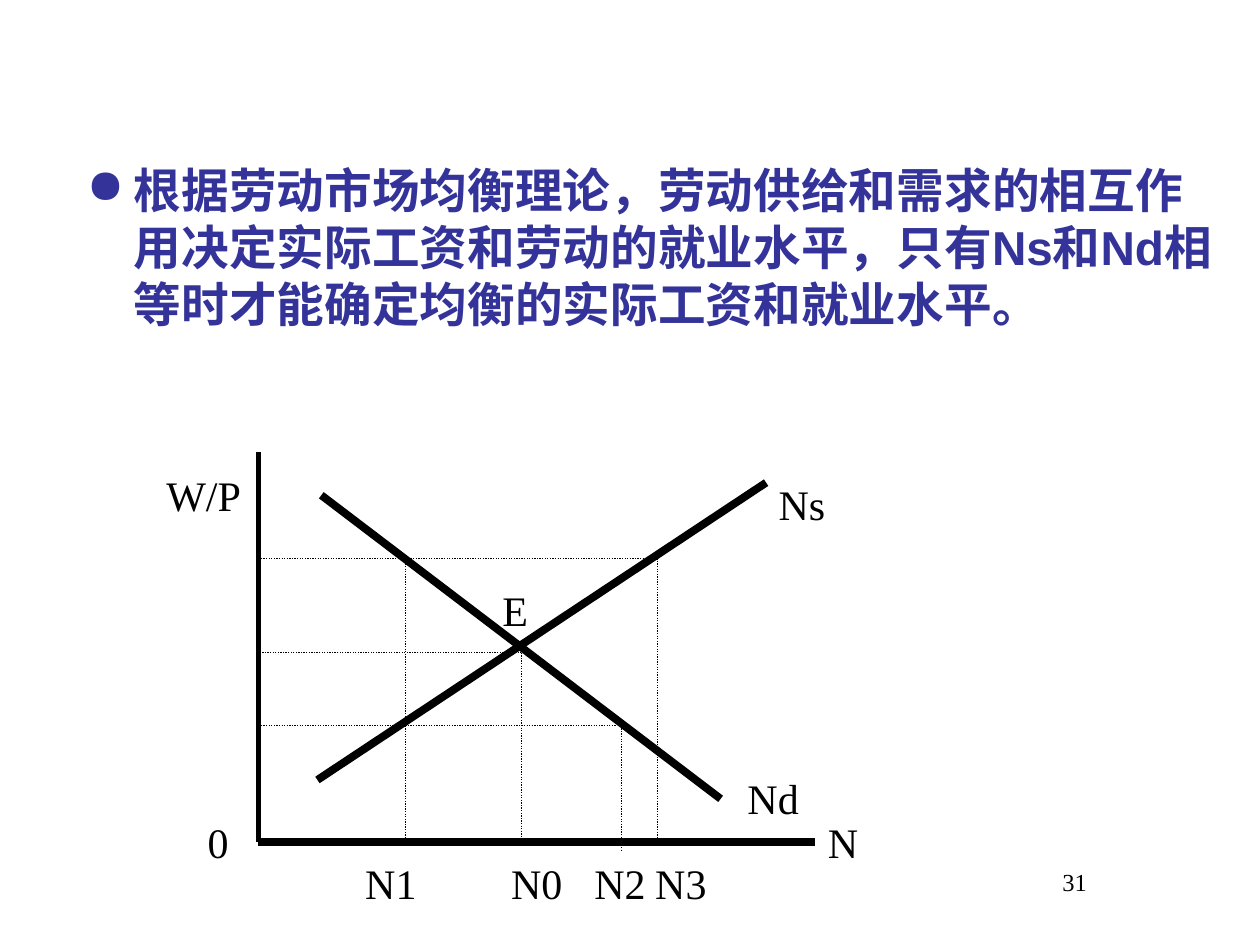
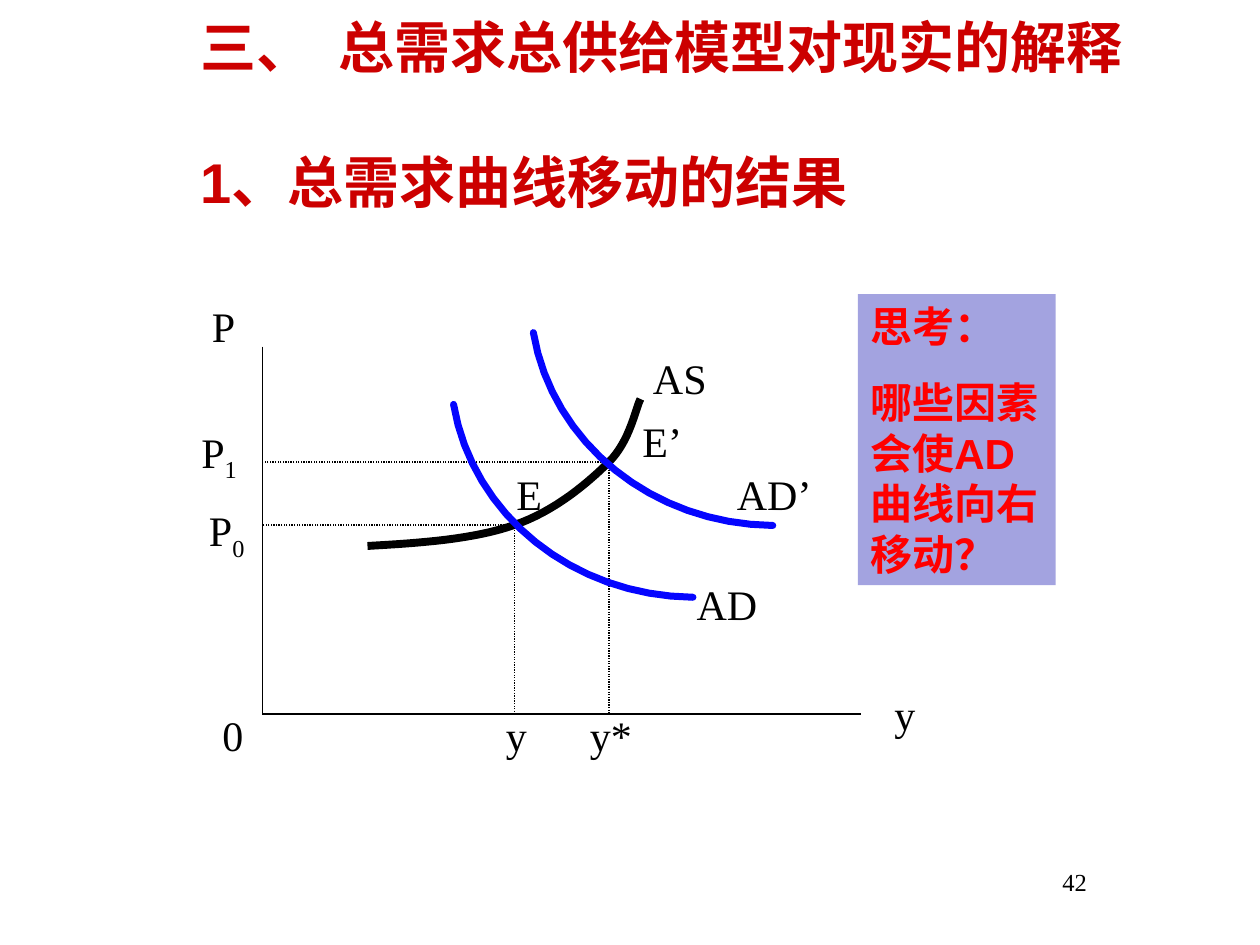
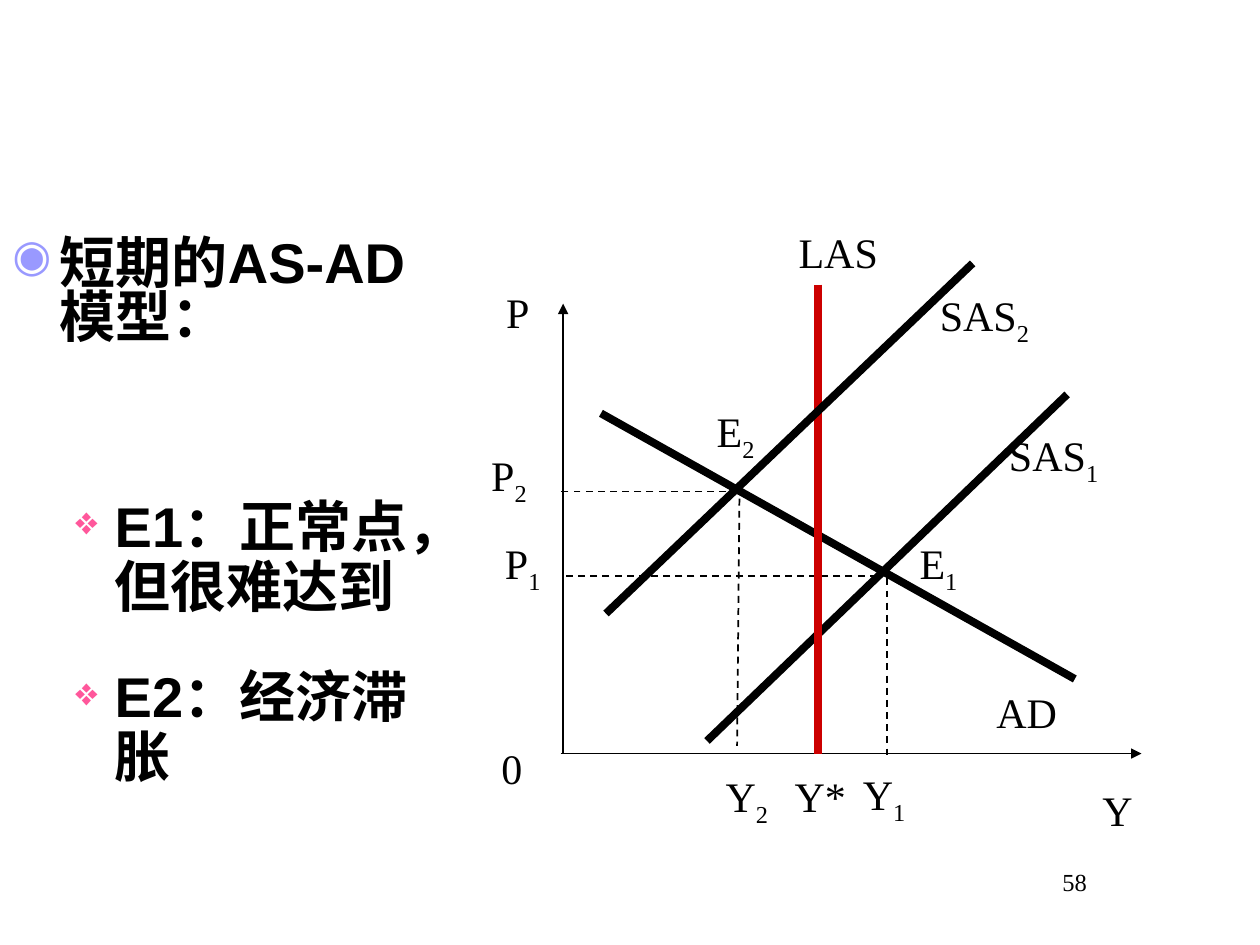
from typing import NamedTuple, Optional

from lxml.etree import SubElement
from pptx import Presentation
from pptx.dml.color import RGBColor
from pptx.enum.dml import MSO_LINE
from pptx.enum.shapes import MSO_CONNECTOR, MSO_SHAPE
from pptx.enum.text import MSO_ANCHOR, MSO_AUTO_SIZE, PP_ALIGN
from pptx.oxml.ns import qn
from pptx.util import Pt

BLACK = RGBColor(0x00, 0x00, 0x00)
INDIGO = RGBColor(0x33, 0x33, 0x99)
CRIMSON = RGBColor(0xCC, 0x00, 0x00)
RED = RGBColor(0xFF, 0x00, 0x00)
BLUE = RGBColor(0x05, 0x05, 0xFF)
LAVENDER = RGBColor(0xA3, 0xA3, 0xE0)
PERIWINKLE = RGBColor(0x99, 0x99, 0xFF)
PINK = RGBColor(0xFF, 0x57, 0x9B)

HEADING_FONT = "Arial"
LABEL_FONT = "Times New Roman"
THICK = 4.5
CURVE_STEPS = 16

Point = tuple[float, float]


class TextStyle(NamedTuple):
    font: str
    size: float
    color: RGBColor
    bold: bool = False


class Bullet(NamedTuple):
    character: str
    color: RGBColor
    left: float
    hanging: float
    percent: int = 100


class TextLine(NamedTuple):
    text: str
    subscript: str = ""
    space_before: float = 0
    line_spacing: Optional[float] = None
    bullet: Optional[Bullet] = None
    tabs: tuple[float, ...] = ()


class Label(NamedTuple):
    left: float
    top: float
    width: float
    text: str
    subscript: str = ""
    tabs: tuple[float, ...] = ()


class Line(NamedTuple):
    start: Point
    end: Point
    width: float = THICK
    color: RGBColor = BLACK
    dash: Optional[MSO_LINE] = None
    arrow: bool = False


LABEL_STYLE = TextStyle(LABEL_FONT, 24, BLACK)
NUMBER_STYLE = TextStyle(LABEL_FONT, 14, BLACK)
TITLE_STYLE = TextStyle(HEADING_FONT, 32, CRIMSON, True)
THEORY_STYLE = TextStyle(HEADING_FONT, 27.2, INDIGO, True)
OUTLINE_STYLE = TextStyle(HEADING_FONT, 32, BLACK, True)
QUESTION_STYLE = TextStyle(HEADING_FONT, 24, RED, True)


def write_text(shape, lines: list[TextLine], style: TextStyle,
               anchor=MSO_ANCHOR.TOP, grow: bool = False) -> None:
    frame = shape.text_frame
    frame.word_wrap = True
    frame.vertical_anchor = anchor
    frame.auto_size = MSO_AUTO_SIZE.SHAPE_TO_FIT_TEXT if grow else MSO_AUTO_SIZE.NONE
    for index, line in enumerate(lines):
        paragraph = frame.add_paragraph() if index else frame.paragraphs[0]
        paragraph.alignment = PP_ALIGN.LEFT
        paragraph.add_run().text = line.text
        if line.subscript:
            run = paragraph.add_run()
            run.text = line.subscript
            run.font._element.set("baseline", "-25000")
        if line.line_spacing:
            paragraph.line_spacing = line.line_spacing
        if line.space_before:
            paragraph.space_before = Pt(line.space_before)
        properties = paragraph._p.get_or_add_pPr()
        if line.bullet:
            add_bullet(properties, line.bullet)
        if line.tabs:
            tab_list = SubElement(properties, qn("a:tabLst"))
            for position in line.tabs:
                SubElement(tab_list, qn("a:tab"), pos=str(Pt(position)), algn="l")
        paragraph.font.name = style.font
        paragraph.font.size = Pt(style.size)
        paragraph.font.bold = style.bold
        paragraph.font.color.rgb = style.color


def add_bullet(properties, bullet: Bullet) -> None:
    properties.set("marL", str(Pt(bullet.left)))
    properties.set("indent", str(Pt(-bullet.hanging)))
    color = SubElement(properties, qn("a:buClr"))
    SubElement(color, qn("a:srgbClr"), val=str(bullet.color))
    SubElement(properties, qn("a:buSzPct"), val=str(bullet.percent * 1000))
    SubElement(properties, qn("a:buChar"), char=bullet.character)


def add_text(slide, left: float, top: float, width: float, height: float,
             lines: list[TextLine], style: TextStyle,
             anchor=MSO_ANCHOR.TOP, grow: bool = False) -> None:
    box = slide.shapes.add_textbox(Pt(left), Pt(top), Pt(width), Pt(height))
    write_text(box, lines, style, anchor, grow)


def add_labels(slide, labels: list[Label]) -> None:
    for label in labels:
        line = TextLine(label.text, label.subscript, tabs=label.tabs)
        height = 40 if label.subscript else 36
        add_text(slide, label.left, label.top, label.width, height,
                 [line], LABEL_STYLE, grow=True)


def add_lines(slide, lines: list[Line]) -> None:
    for line in lines:
        connector = slide.shapes.add_connector(
            MSO_CONNECTOR.STRAIGHT, *map(Pt, line.start + line.end))
        connector.line.width = Pt(line.width)
        connector.line.color.rgb = line.color
        if line.dash:
            connector.line.dash_style = line.dash
        properties = connector.element.spPr
        if line.arrow:
            SubElement(properties.find(qn("a:ln")), qn("a:tailEnd"), type="triangle")
        SubElement(properties, qn("a:effectLst"))


def bezier_point(controls: list[Point], t: float) -> Point:
    weights = ((1 - t) ** 3, 3 * t * (1 - t) ** 2, 3 * t ** 2 * (1 - t), t ** 3)
    x, y = (sum(w * value for w, value in zip(weights, axis)) for axis in zip(*controls))
    return x, y


def add_curve(slide, controls: list[Point], color: RGBColor, width: float,
              cap: str = "flat") -> None:
    points = [
        bezier_point(controls[first:first + 4], step / CURVE_STEPS)
        for first in range(0, len(controls) - 1, 3)
        for step in range(1, CURVE_STEPS + 1)
    ]
    builder = slide.shapes.build_freeform(*map(Pt, controls[0]))
    builder.add_line_segments([(Pt(x), Pt(y)) for x, y in points], close=False)
    curve = builder.convert_to_shape()
    curve.shadow.inherit = False
    curve.fill.background()
    curve.line.color.rgb = color
    curve.line.width = Pt(width)
    curve.element.spPr.find(qn("a:ln")).set("cap", cap)


def add_numbered_slide(presentation, number: int):
    slide = presentation.slides.add_slide(presentation.slide_layouts[6])
    add_text(slide, 600, 492, 120, 36, [TextLine(str(number))], NUMBER_STYLE)
    return slide


def dotted(start: Point, end: Point) -> Line:
    return Line(start, end, 0.75, dash=MSO_LINE.ROUND_DOT)


def dashed(start: Point, end: Point) -> Line:
    return Line(start, end, 1, dash=MSO_LINE.DASH)


def build_labour_market(presentation) -> None:
    slide = add_numbered_slide(presentation, 31)
    theory = TextLine(
        "根据劳动市场均衡理论，劳动供给和需求的相互作用决定实际工资和劳动的就业水平，"
        "只有Ns和Nd相等时才能确定均衡的实际工资和就业水平。",
        bullet=Bullet("●", INDIGO, 27, 27))
    add_text(slide, 42.5, 88.5, 659.5, 151, [theory], THEORY_STYLE)

    left, bottom = 147.6, 481
    high_wage, balanced_wage, low_wage = 319, 373, 414.7
    n1, n0, n2, n3 = 231.8, 298, 355, 375.8
    add_lines(slide, [
        Line((left, 258.5), (left, bottom), 3),
        Line((left, bottom), (466, bottom)),
        Line((183.6, 283), (411.8, 456.5)),
        Line((181.4, 445.7), (437.8, 275.8)),
        dotted((n0, balanced_wage), (n0, bottom)),
        dotted((n0, balanced_wage), (left, balanced_wage)),
        dotted((left, high_wage), (n3, high_wage)),
        dotted((n1, high_wage), (n1, bottom)),
        dotted((n3, high_wage), (n3, bottom)),
        dotted((left, low_wage), (352, low_wage)),
        dotted((n2, low_wage), (n2, 486.7)),
    ])
    add_labels(slide, [
        Label(280, 330.5, 42, "E"),
        Label(111.6, 463, 42, "0"),
        Label(466, 463, 48, "N"),
        Label(88, 265, 72, "W/P"),
        Label(201.6, 486.7, 228, "N1\tN0\tN2\tN3", tabs=(83.4, 130.9, 165.7)),
        Label(420, 437.8, 60, "Nd"),
        Label(437.8, 270, 42, "Ns"),
    ])


def build_demand_shift(presentation) -> None:
    slide = add_numbered_slide(presentation, 42)
    add_text(slide, 107.3, 20, 581.8, 90, [
        TextLine("三、\t总需求总供给模型对现实的解释", tabs=(79,)),
        TextLine("1、总需求曲线移动的结果", space_before=38.6),
    ], TITLE_STYLE, MSO_ANCHOR.MIDDLE)

    left, bottom = 150, 408
    first_balance, second_balance = (294, 300), (348, 264)
    add_lines(slide, [
        Line((left, 198), (left, bottom), 0.75),
        Line((left, bottom), (492, bottom), 0.75),
    ])
    supply = [(210, 312), (240.5, 310.3), (270.7, 308.2), first_balance,
              (316.8, 292.3), (336.2, 275.8), second_balance,
              (360, 252), (363, 234), (366, 228)]
    add_curve(slide, supply, BLACK, THICK)
    for x, y in (second_balance, first_balance):
        add_lines(slide, [dotted((x, y), (x, bottom)), dotted((x, y), (left, y))])
    add_labels(slide, [
        Label(114, 168, 36, "P"),
        Label(120, 402, 30, "0"),
        Label(288, 264, 42, "E"),
        Label(360, 234, 54, "E’"),
        Label(366, 198, 84, "AS"),
        Label(282, 402, 132, "y\ty*", tabs=(48,)),
        Label(504, 390, 54, "y"),
        Label(414, 264, 120, "AD’"),
        Label(391, 327, 66, "AD"),
        Label(112.3, 285, 42, "P", "0"),
        Label(108, 240, 42, "P", "1"),
    ])

    question = slide.shapes.add_shape(
        MSO_SHAPE.RECTANGLE, Pt(490.3), Pt(168), Pt(113), Pt(166.3))
    question.shadow.inherit = False
    question.fill.solid()
    question.fill.fore_color.rgb = LAVENDER
    question.line.fill.background()
    write_text(question, [
        TextLine("思考："),
        TextLine("哪些因素会使AD曲线向右移动？", space_before=15),
    ], QUESTION_STYLE, grow=True)

    demand = [(396, 341.3), (327.6, 340.6), (270, 294.5), (259.2, 231.1)]
    for shift_x, shift_y in ((0, 0), (45.6, -41)):
        shifted = [(x + shift_x, y + shift_y) for x, y in demand]
        add_curve(slide, shifted, BLUE, 4, "rnd")


def build_short_run(presentation) -> None:
    slide = add_numbered_slide(presentation, 58)
    diamond = Bullet("❖", PINK, 58.5, 22.5, 70)
    add_text(slide, 0, 134, 258, 345.6, [
        TextLine("短期的AS-AD模型：", line_spacing=0.8,
                 bullet=Bullet("◉", PERIWINKLE, 27, 27, 80)),
        TextLine("E1：正常点，但很难达到", space_before=86, line_spacing=0.9, bullet=diamond),
        TextLine("E2：经济滞胀", space_before=28, line_spacing=0.9, bullet=diamond),
    ], OUTLINE_STYLE)

    left, bottom, potential = 321.8, 430.6, 467.3
    add_lines(slide, [
        Line((320.4, bottom), (652.3, bottom), 1, arrow=True),
        Line((left, bottom), (left, 173.5), 1, arrow=True),
        Line((343.4, 236.2), (614.2, 388)),
        Line((404, 423.4), (609.8, 225.4)),
        dashed((422, 280.8), (320.4, 280.8)),
        dashed((501, 329), (323.3, 329)),
        dashed((422.6, 278), (421.2, 426.2)),
        Line((potential, 162.7), (potential, bottom), color=CRIMSON),
        dashed((507, 330.5), (507, 432)),
        Line((346.3, 350.6), (555.8, 150.5)),
    ])
    add_labels(slide, [
        Label(282.2, 160, 41, "P"),
        Label(273.6, 253.4, 55.4, "P", "2"),
        Label(281.5, 303.8, 55.4, "P", "1"),
        Label(530, 162, 79.2, "SAS", "2"),
        Label(569.5, 242, 72, "SAS", "1"),
        Label(562.3, 388.8, 72, "AD"),
        Label(622.8, 445, 56.2, "Y"),
        Label(447, 437, 63.4, "Y*"),
        Label(279.4, 420.5, 29.5, "0"),
        Label(407.5, 437, 63.4, "Y", "2"),
        Label(486, 435.6, 63.4, "Y", "1"),
        Label(449.3, 126, 79.2, "LAS"),
        Label(402.5, 228.2, 47.5, "E", "2"),
        Label(518.4, 303.8, 49, "E", "1"),
    ])


def main() -> None:
    presentation = Presentation()
    presentation.slide_width = Pt(720)
    presentation.slide_height = Pt(540)
    build_labour_market(presentation)
    build_demand_shift(presentation)
    build_short_run(presentation)
    presentation.save("out.pptx")


if __name__ == "__main__":
    main()
